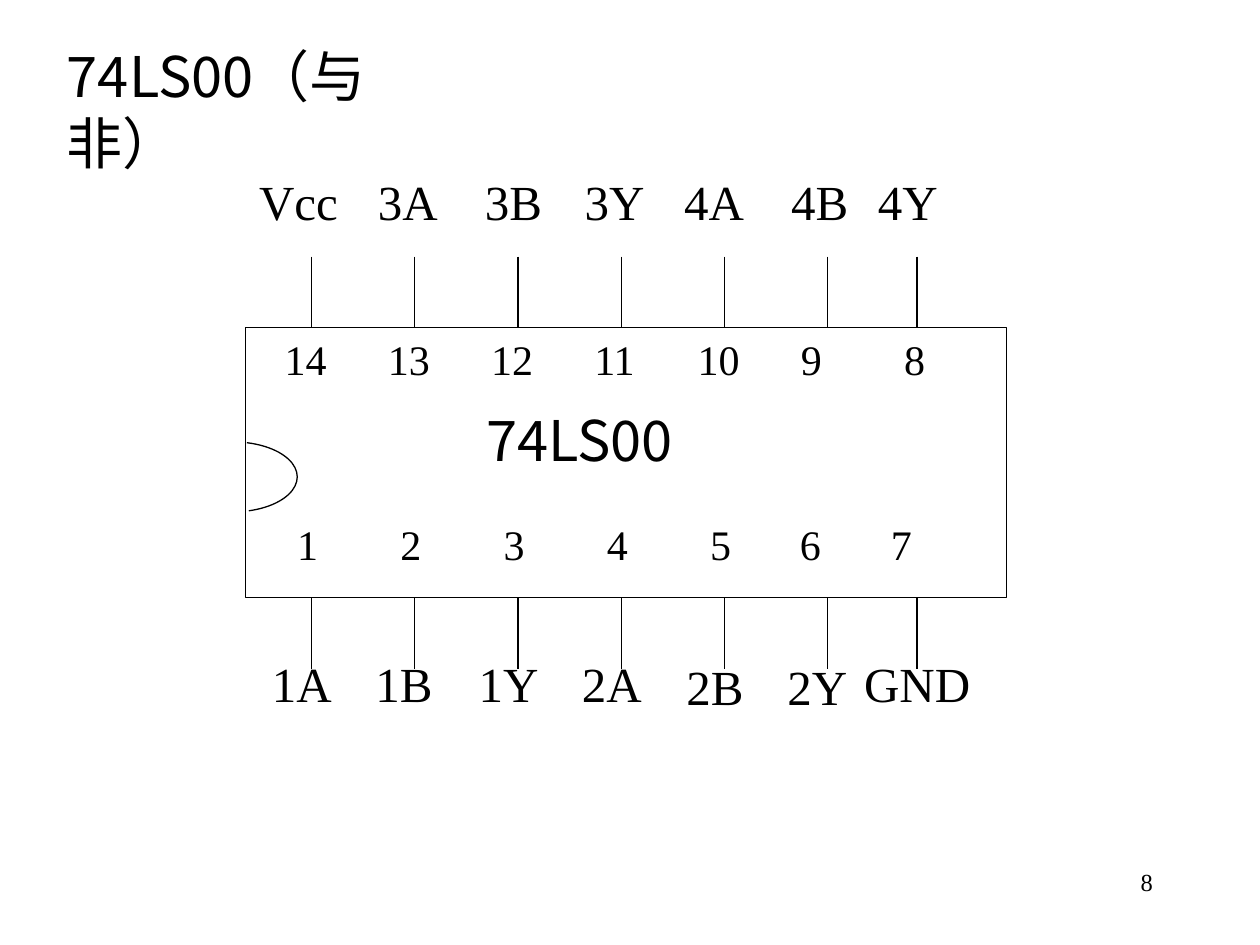
from lxml import etree
from pptx import Presentation
from pptx.dml.color import RGBColor
from pptx.enum import shapes, text
from pptx.oxml.ns import qn
from pptx.util import Pt

SERIF = "Times New Roman"
SANS = "Noto Sans CJK SC"
BLACK = "000000"


def color(hex_string):
    return RGBColor.from_string(hex_string)


def write(box, words, left, top, width, height, size=24, font=SERIF,
          wrap=False, align=text.PP_ALIGN.LEFT):
    box.left, box.top, box.width, box.height = Pt(left), Pt(top), Pt(width), Pt(height)
    frame = box.text_frame
    frame.word_wrap = wrap
    frame.auto_size = text.MSO_AUTO_SIZE.NONE
    frame.vertical_anchor = text.MSO_ANCHOR.TOP
    para = frame.paragraphs[0]
    para.alignment = align
    span = para.add_run()
    span.text = words
    span.font.size = Pt(size)
    span.font.name = font
    span.font.color.rgb = color(BLACK)
    etree.SubElement(span.font._element, qn("a:ea"), typeface=font)


deck = Presentation()
deck.slide_width, deck.slide_height = Pt(720), Pt(540)
page = deck.slides.add_slide(deck.slide_layouts[5])
items = page.shapes

write(items.title, "74LS00（与非）", 31, 20, 244, 84, size=32, font=SANS, wrap=True)
write(items.add_textbox(0, 0, 0, 0), "8", 516, 492, 150, 36, size=14, wrap=True,
      align=text.PP_ALIGN.RIGHT)

chip_left, chip_top, chip_width, chip_height = 140.4, 187.2, 434.9, 154.1
chip_bottom = chip_top + chip_height
chip = items.add_shape(shapes.MSO_SHAPE.RECTANGLE, Pt(chip_left), Pt(chip_top),
                       Pt(chip_width), Pt(chip_height))
notch = items.add_shape(shapes.MSO_SHAPE.ARC, Pt(96.5), Pt(252.5), Pt(73.4), Pt(40))
notch.adjustments[0] = 292 * 0.6
notch.adjustments[1] = 65 * 0.6
for outline in (chip, notch):
    outline.shadow.inherit = False
    outline.fill.background()
    outline.line.color.rgb = color(BLACK)
    outline.line.width = Pt(0.75)

pitch = 59
pin_lefts = [178 + pitch * i for i in range(6)] + [524]
for x in pin_lefts:
    for start, end in ((chip_top - 40.5, chip_top), (chip_bottom, chip_bottom + 41)):
        pin = items.add_connector(shapes.MSO_CONNECTOR.STRAIGHT,
                                  Pt(x), Pt(start), Pt(x), Pt(end))
        pin.line.color.rgb = color(BLACK)
        pin.line.width = Pt(0.75)
        etree.SubElement(pin._element.spPr, qn("a:effectLst"))

upper_numbers = [(str(14 - i), 155.5 + pitch * i) for i in range(7)]
lower_lefts = [162.7 + pitch * i for i in range(5)] + [450, 502]
lower_numbers = [(str(i + 1), left) for i, left in enumerate(lower_lefts)]
for numbers, top in ((upper_numbers, 187.2), (lower_numbers, 293)):
    for number, left in numbers:
        write(items.add_textbox(0, 0, 0, 0), number, left, top, 14 + 12 * len(number), 36)

write(items.add_textbox(0, 0, 0, 0), "74LS00", 270.7, 228.2, 130, 46, size=32, font=SANS)

signals = [
    ("Vcc", 141, 94.3, 59), ("3A", 208.8, 94.3, 48), ("3B", 270, 94.3, 47),
    ("3Y", 327, 94.3, 48), ("4A", 383.8, 94.3, 48), ("4B", 445, 94.3, 47),
    ("4Y", 494.6, 94.3, 48),
    ("1A", 148.3, 370, 48), ("1B", 207.4, 370, 47), ("1Y", 266.4, 370, 48),
    ("2A", 325.4, 370, 48), ("2B", 385.2, 371.5, 47), ("2Y", 442.8, 371.5, 48),
    ("GND", 486.7, 370, 75),
]
for signal, left, top, width in signals:
    write(items.add_textbox(0, 0, 0, 0), signal, left, top, width, 41, size=28)

deck.save("out.pptx")
